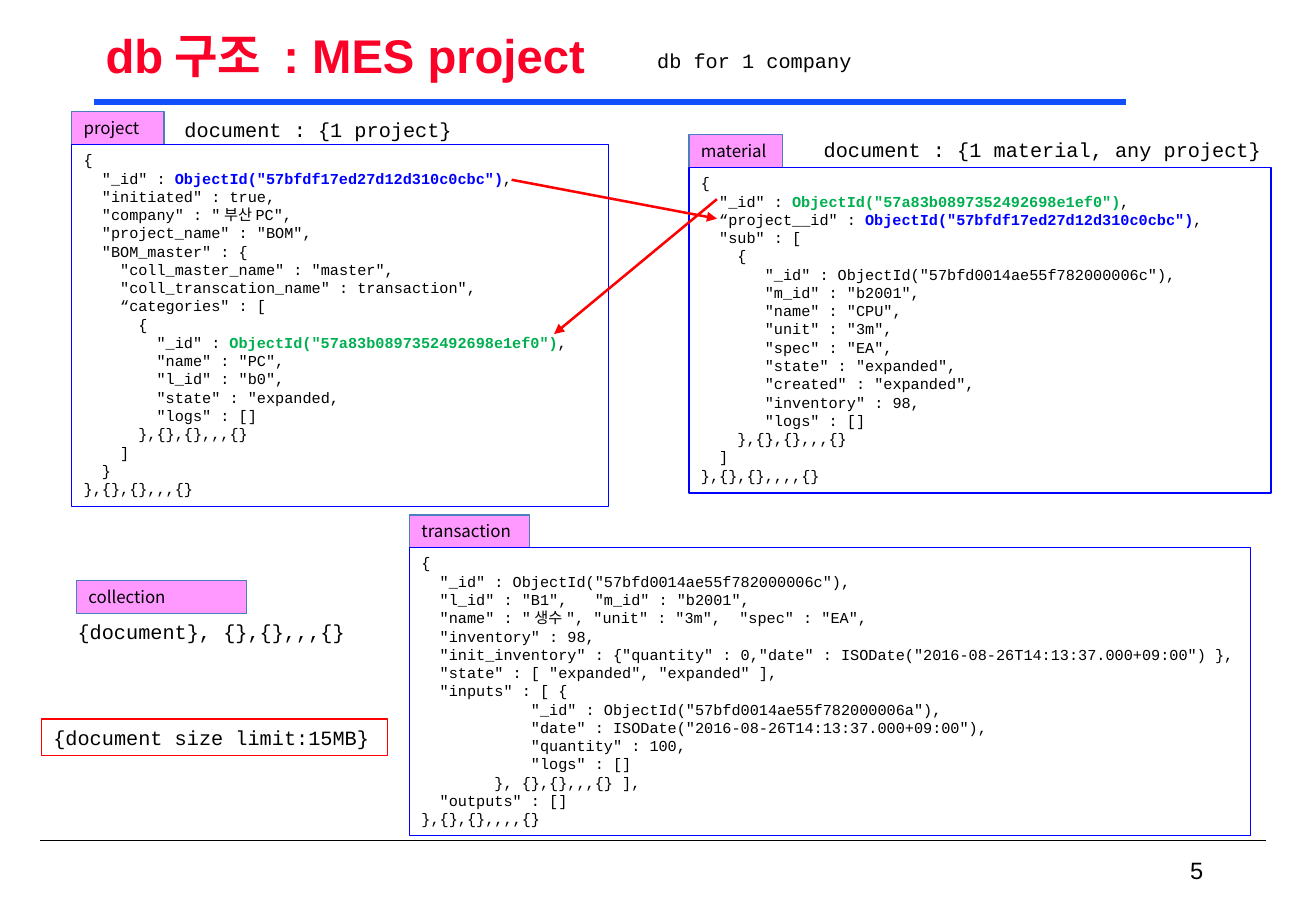
import pptx
import pptx.util
import pptx.dml.color
import pptx.enum.shapes
import pptx.enum.text
import pptx.oxml
import pptx.oxml.ns

PX = 9144  # 100 px to the inch
ALIGN = pptx.enum.text.PP_ALIGN
ANCHOR = pptx.enum.text.MSO_ANCHOR
FIT = pptx.enum.text.MSO_AUTO_SIZE

THEME = {
    "black": "000000", "red": "FF0000", "blue": "0000FF", "green": "00B050",
    "bar": "114FFB", "label_fill": "FF99FF", "label_line": "4B7EBC",
    "east_asian": "Noto Sans CJK KR",
    "title": {"name": "Arial", "size": 28, "color": "FC0128", "bold": True},
    "page": {"name": "Arial", "size": 14, "color": "000000"},
    "label": {"name": "Noto Sans CJK KR", "size": 10, "color": "000000"},
    "note": {"name": "Courier New", "size": 12, "color": "000000"},
    "code": {"name": "Courier New", "size": 9, "color": "000000"},
}

PROJECT_ID = 'ObjectId("57bfdf17ed27d12d310c0cbc")'
CATEGORY_ID = 'ObjectId("57a83b0897352492698e1ef0")'
KEY_COLORS = {PROJECT_ID: THEME["blue"], CATEGORY_ID: THEME["green"]}

PROJECT = """{
  "_id" : ObjectId("57bfdf17ed27d12d310c0cbc"),
  "initiated" : true,
  "company" : "부산PC",
  "project_name" : "BOM",
  "BOM_master" : {
    "coll_master_name" : "master",
    "coll_transcation_name" : transaction",
    “categories" : [
      {
        "_id" : ObjectId("57a83b0897352492698e1ef0"),
        "name" : "PC",
        "l_id" : "b0",
        "state" : "expanded,
        "logs" : []
      },{},{},,,{}
    ]
  }
},{},{},,,{}"""

MATERIAL = """{
  "_id" : ObjectId("57a83b0897352492698e1ef0"),
  “project__id" : ObjectId("57bfdf17ed27d12d310c0cbc"),
  "sub" : [
    {
       "_id" : ObjectId("57bfd0014ae55f782000006c"),
       "m_id" : "b2001",
       "name" : "CPU",
       "unit" : "3m",
       "spec" : "EA",
       "state" : "expanded",
       "created" : "expanded",
       "inventory" : 98,
       "logs" : []
    },{},{},,,{}
  ]
},{},{},,,,{}"""

TRANSACTION = """{
  "_id" : ObjectId("57bfd0014ae55f782000006c"),
  "l_id" : "B1",   "m_id" : "b2001",
  "name" : "생수", "unit" : "3m",  "spec" : "EA",
  "inventory" : 98,
  "init_inventory" : {"quantity" : 0,"date" : ISODate("2016-08-26T14:13:37.000+09:00") },
  "state" : [ "expanded", "expanded" ],
  "inputs" : [ {
            "_id" : ObjectId("57bfd0014ae55f782000006a"),
            "date" : ISODate("2016-08-26T14:13:37.000+09:00"),
            "quantity" : 100,
            "logs" : []
        }, {},{},,,{} ],
  "outputs" : []
},{},{},,,,{}"""

prs = pptx.Presentation()
prs.slide_width, prs.slide_height = 1083 * PX, 750 * PX
s = prs.slides.add_slide(prs.slide_layouts[6])


def add_text(box, text, style, fill=None, line=None, frame=None, para=None):
    """Add text, in a rectangle if it has a line colour; known keys are bold and coloured."""
    box = [v * PX for v in box]
    if line:
        sp = s.shapes.add_shape(pptx.enum.shapes.MSO_SHAPE.RECTANGLE, *box)
        sp.shadow.inherit = False
        sp.line.color.rgb = pptx.dml.color.RGBColor.from_string(line)
        sp.line.width = pptx.util.Pt(0.75)
    else:
        sp = s.shapes.add_textbox(*box)
    if fill:
        sp.fill.solid()
        sp.fill.fore_color.rgb = pptx.dml.color.RGBColor.from_string(fill)
    else:
        sp.fill.background()
    tf = sp.text_frame
    defaults = {"word_wrap": True, "vertical_anchor": ANCHOR.TOP, "auto_size": FIT.SHAPE_TO_FIT_TEXT}
    for name, value in {**defaults, **(frame or {})}.items():
        setattr(tf, name, value)
    for i, row in enumerate(text.split("\n")):
        p = tf.add_paragraph() if i else tf.paragraphs[0]
        for name, value in {"alignment": ALIGN.LEFT, **(para or {})}.items():
            setattr(p, name, value)
        key = next((k for k in KEY_COLORS if k in row), None)
        for part in row.partition(key) if key else [row]:
            r = p.add_run()
            r.text = part
            font = {"name": style["name"], "size": pptx.util.Pt(style["size"]),
                    "bold": part in KEY_COLORS or style.get("bold", False)}
            for name, value in font.items():
                setattr(r.font, name, value)
            color = KEY_COLORS.get(part, style["color"])
            r.font.color.rgb = pptx.dml.color.RGBColor.from_string(color)
            ea = pptx.oxml.parse_xml(f'<a:ea {pptx.oxml.ns.nsdecls("a")} typeface="{THEME["east_asian"]}"/>')
            r.font._element.append(ea)


def add_line(ends, color, width, arrow=False):
    cx = s.shapes.add_connector(pptx.enum.shapes.MSO_CONNECTOR.STRAIGHT, *[v * PX for v in ends])
    cx.line.color.rgb = pptx.dml.color.RGBColor.from_string(color)
    cx.line.width = pptx.util.Pt(width)
    ns = pptx.oxml.ns.nsdecls("a")
    if arrow:
        cx.line._get_or_add_ln().append(pptx.oxml.parse_xml(f'<a:tailEnd {ns} type="triangle"/>'))
    cx._element.spPr.append(pptx.oxml.parse_xml(f"<a:effectLst {ns}/>"))


# Title, rules and page number
add_line((1042, 692, 33, 692), THEME["black"], 1)
add_line((77, 84, 927, 84), THEME["bar"], 3.75)
add_text((77, 17, 929, 62), "db구조 : MES project", THEME["title"],
         frame={"vertical_anchor": ANCHOR.MIDDLE, "auto_size": FIT.NONE},
         para={"alignment": ALIGN.JUSTIFY, "line_spacing": 0.9})
add_text((775, 700, 225, 33), "5", THEME["page"],
         frame={"vertical_anchor": ANCHOR.MIDDLE, "auto_size": FIT.NONE, "word_wrap": False},
         para={"alignment": ALIGN.RIGHT})

# Collections: a label sits on the top left corner of its document box
LABEL_H = 27
collections = [
    ("project", 76, (59, 119, 442, 298), PROJECT),
    ("material", 77, (567, 138, 479, 268), MATERIAL),
    ("transaction", 99, (337, 451, 692, 237), TRANSACTION),
    ("collection", 140, (63, 505, 0, 0), None),
]
for name, label_w, (x, y, w, h), code in collections:
    add_text((x, y - LABEL_H, label_w, LABEL_H), name, THEME["label"],
             THEME["label_fill"], THEME["label_line"])
    if code:
        add_text((x, y, w, h), code, THEME["code"], line=THEME["blue"])

# Notes
notes = [
    ((54, 505, 244, 30), "{document}, {},{},,,{}", None),
    ((34, 592, 285, 30), "{document size limit:15MB}", THEME["red"]),
    ((142, 92, 244, 30), "document : {1 project}", None),
    ((531, 35, 183, 30), "db for 1 company", None),
    ((668, 108, 386, 30), "document : {1 material, any project}", None),
]
for box, text, line in notes:
    add_text(box, text, THEME["note"], line=line, frame={"word_wrap": False})

# References between documents
for ends in [(590, 164, 456, 275), (421, 148, 590, 180)]:
    add_line(ends, THEME["red"], 1.5, arrow=True)

prs.save("out.pptx")
